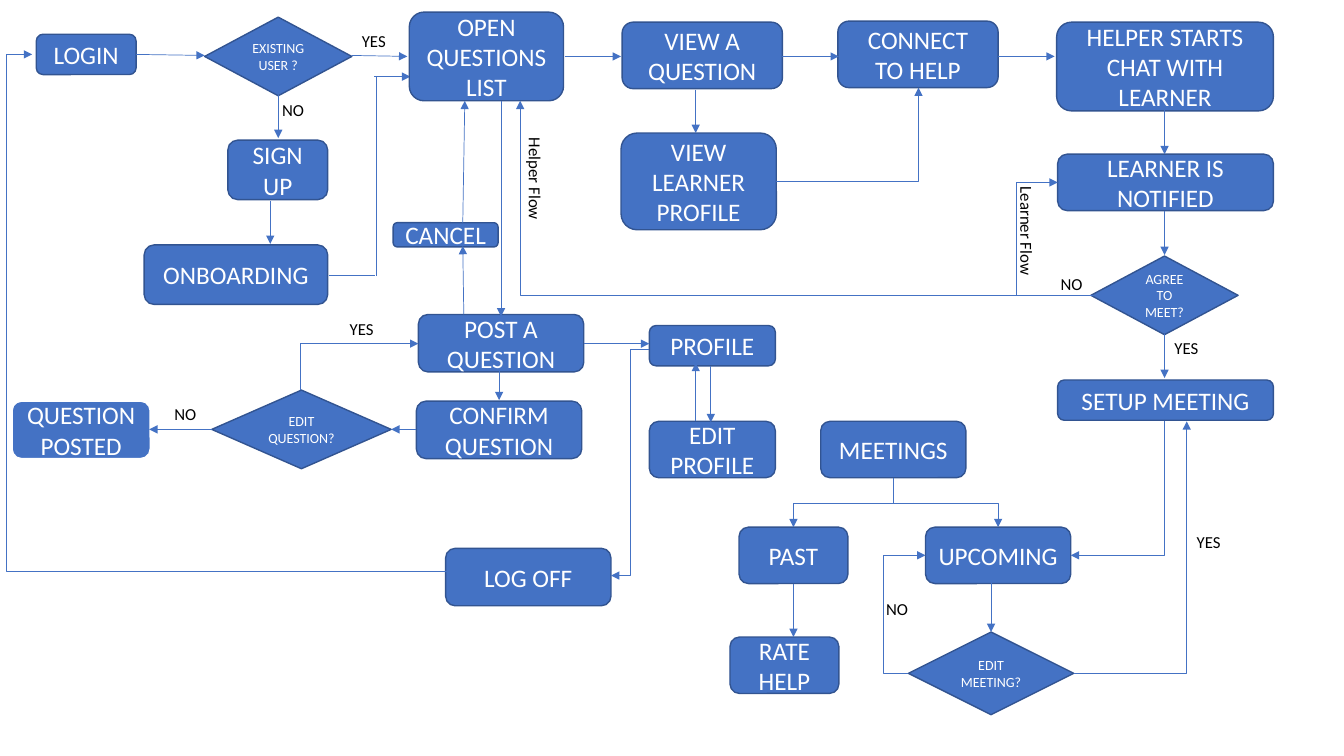
"""Build a one-slide flow chart of a help and meeting app."""
import dataclasses

import lxml.etree
import pptx
import pptx.dml.color
import pptx.enum.dml
import pptx.enum.shapes
import pptx.enum.text
import pptx.oxml.ns
import pptx.util

Inches = pptx.util.Inches
Kind = pptx.enum.shapes.MSO_SHAPE
Wire = pptx.enum.shapes.MSO_CONNECTOR
qn = pptx.oxml.ns.qn


@dataclasses.dataclass(frozen=True)
class Theme:
    """Hold the colours, font and sizes of the chart."""
    blue: str = "4472C4"
    edge: str = "325491"
    white: str = "FFFFFF"
    black: str = "000000"
    font: str = "Calibri"
    step: int = 18
    choice: int = 10
    label: int = 12
    rim: float = 1
    wire: float = 0.5


THEME = Theme()


def tint(code):
    """Turn a hex code into a colour."""
    return pptx.dml.color.RGBColor.from_string(code)


def write(frame, words, size, color, align):
    """Set the words of a frame and format them."""
    frame.text = words
    para = frame.paragraphs[0]
    para.alignment = align
    font = para.runs[0].font
    font.name = THEME.font
    font.size = pptx.util.Pt(size)
    font.color.rgb = tint(color)


class Area:
    """Draw parts relative to the top left corner of a region."""

    def __init__(self, slide, left, top):
        """Keep the shapes of the slide and the corner."""
        self.shapes = slide.shapes
        self.left = left
        self.top = top

    def place(self, x, y):
        """Give the slide position of a point of the region."""
        return Inches(self.left + x), Inches(self.top + y)

    def node(self, words, x, y, wide, high, kind=Kind.ROUNDED_RECTANGLE,
             size=THEME.step, edge=THEME.edge):
        """Draw a filled shape with centred words."""
        shape = self.shapes.add_shape(
            kind, *self.place(x, y), Inches(wide), Inches(high))
        shape.shadow.inherit = False
        shape.fill.solid()
        shape.fill.fore_color.rgb = tint(THEME.blue)
        shape.line.color.rgb = tint(edge)
        shape.line.width = pptx.util.Pt(THEME.rim)
        frame = shape.text_frame
        frame.word_wrap = True
        frame.vertical_anchor = pptx.enum.text.MSO_ANCHOR.MIDDLE
        write(frame, words, size, THEME.white, pptx.enum.text.PP_ALIGN.CENTER)

    def choice(self, words, x, y, wide, high):
        """Draw a decision diamond."""
        self.node(words, x, y, wide, high, Kind.DIAMOND, THEME.choice)

    def label(self, words, x, y, wide=0.45, turn=0):
        """Write a small label beside a line."""
        box = self.shapes.add_textbox(
            *self.place(x, y), Inches(wide), Inches(0.3))
        box.rotation = turn
        frame = box.text_frame
        frame.word_wrap = False
        frame.auto_size = pptx.enum.text.MSO_AUTO_SIZE.SHAPE_TO_FIT_TEXT
        write(frame, words, THEME.label, THEME.black,
              pptx.enum.text.PP_ALIGN.LEFT)

    def link(self, *points, arrow=True):
        """Join points by a straight line, or by an elbow of one or two bends."""
        (x1, y1), (x2, y2) = points[0], points[-1]
        bends = len(points) - 2
        upright = bends > 0 and points[1][0] == x1
        start, end = points[0], points[-1]
        if upright:
            mid, half = (x1 + x2) / 2, (y2 - y1) / 2
            level, side = (y1 + y2) / 2, (x2 - x1) / 2
            start, end = (mid - half, level + side), (mid + half, level - side)
        line = self.shapes.add_connector(
            Wire.ELBOW if bends else Wire.STRAIGHT,
            *self.place(*start), *self.place(*end))
        line.line.color.rgb = tint(THEME.blue)
        line.line.width = pptx.util.Pt(THEME.wire)
        props = line._element.spPr
        shape = props.find(qn("a:prstGeom"))
        if upright:
            props.find(qn("a:xfrm")).set("rot", "5400000")
        if bends == 1:
            shape.set("prst", "bentConnector2")
        elif bends == 2:
            axis = 1 if upright else 0
            first, last = points[0][axis], points[-1][axis]
            ratio = (points[1][axis] - first) / (last - first)
            lxml.etree.SubElement(
                shape.find(qn("a:avLst")), qn("a:gd"),
                name="adj1", fmla=f"val {round(ratio * 100000)}")
        if arrow:
            lxml.etree.SubElement(
                props.find(qn("a:ln")), qn("a:tailEnd"), type="triangle")
        lxml.etree.SubElement(props, qn("a:effectLst"))


def join(slide, left, top):
    """Draw the login and sign-up steps."""
    area = Area(slide, left, top)
    area.node("LOGIN", 0.36, 0.34, 0.99, 0.4)
    area.choice("EXISTING USER ?", 2.03, 0.17, 1.46, 0.78)
    area.node("SIGN UP", 2.26, 1.39, 0.99, 0.59)
    area.node("ONBOARDING", 1.43, 2.43, 1.82, 0.59)
    area.link((1.35, 0.54), (2.03, 0.55))
    area.link((3.49, 0.55), (4.04, 0.56))
    area.link((2.76, 0.94), (2.76, 1.37))
    area.link((2.68, 1.99), (2.68, 2.42))
    area.link((3.26, 2.73), (3.72, 2.73), arrow=False)
    area.link((3.73, 2.74), (3.73, 0.75), arrow=False)
    area.link((3.71, 0.76), (4.07, 0.76))
    area.label("YES", 3.49, 0.26)
    area.label("NO", 2.7, 0.94)


def helper(slide, left, top):
    """Draw the steps from the question list to the meeting set-up."""
    area = Area(slide, left, top)
    area.node("OPEN QUESTIONS LIST", 0.06, 0.12, 1.53, 0.88)
    area.node("VIEW A QUESTION", 2.17, 0.22, 1.59, 0.66)
    area.node("CONNECT TO HELP", 4.31, 0.21, 1.59, 0.66)
    area.node("VIEW LEARNER PROFILE", 2.16, 1.32, 1.54, 0.96)
    area.node("HELPER STARTS CHAT WITH LEARNER", 6.48, 0.22, 2.15, 0.88)
    area.node("LEARNER IS NOTIFIED", 6.49, 1.53, 2.14, 0.56)
    area.choice("AGREE TO MEET?", 6.82, 2.54, 1.46, 0.78)
    area.node("SETUP MEETING", 6.49, 3.77, 2.14, 0.4)
    for x in (1.6, 3.76, 5.9):
        area.link((x, 0.56), (x + 0.56, 0.56))
    for y in (1.09, 2.09, 3.31):
        area.link((7.55, y), (7.55, y + 0.44))
    area.link((2.9, 0.89), (2.9, 1.32))
    area.link((3.7, 1.8), (5.11, 1.8), (5.11, 0.87))
    area.link((7.15, 2.93), (1.16, 2.93), (1.16, 1))
    area.link((6.08, 2.93), (6.08, 1.81), (6.49, 1.81))
    area.label("NO", 6.42, 2.67)
    area.label("YES", 7.55, 3.3)
    area.label("Helper Flow", 0.8, 1.63, 1.02, 90)
    area.label("Learner Flow", 5.64, 2.15, 1.09, 90)


def asking(slide, left, top):
    """Draw the steps for posting a question, the profile and log-off."""
    area = Area(slide, left, top)
    area.node("CANCEL", 3.9, 0.21, 1.04, 0.24)
    area.node("POST A QUESTION", 4.15, 1.12, 1.64, 0.57)
    area.node("CONFIRM QUESTION", 4.13, 1.98, 1.64, 0.57)
    area.choice("EDIT QUESTION?", 2.1, 1.87, 1.78, 0.78)
    area.node("QUESTION POSTED", 0.12, 1.98, 1.37, 0.57, edge=THEME.white)
    area.node("PROFILE", 6.44, 1.23, 1.25, 0.4)
    area.node("EDIT PROFILE", 6.44, 2.18, 1.25, 0.56)
    area.node("LOG OFF", 4.42, 3.44, 1.64, 0.57)
    area.link((4.97, -1), (4.97, 1.14))
    area.link((4.59, 0.21), (4.61, -1))
    area.link((4.6, 1.12), (4.59, 0.44))
    area.link((4.95, 1.68), (4.95, 1.97))
    area.link((4.13, 2.26), (3.88, 2.26))
    area.link((2.1, 2.26), (1.48, 2.26))
    area.link((2.98, 1.87), (2.98, 1.41), (4.15, 1.41))
    area.link((5.79, 1.41), (6.44, 1.41))
    area.link((7.05, 1.63), (7.05, 2.19))
    area.link((6.9, 2.18), (6.9, 1.6))
    area.link((6.44, 1.47), (6.25, 1.47), (6.25, 3.71), (6.06, 3.71))
    area.link((4.45, 3.67), (0.07, 3.67), (0.07, -1.46), (0.32, -1.46))
    area.label("YES", 3.37, 1.11)
    area.label("NO", 1.63, 1.96)


def meeting(slide, left, top):
    """Draw the past and upcoming meeting steps."""
    area = Area(slide, left, top)
    area.node("MEETINGS", 1.14, 0.18, 1.44, 0.56)
    area.node("PAST", 0.33, 1.23, 1.08, 0.56)
    area.node("UPCOMING", 2.18, 1.23, 1.44, 0.56)
    area.node("RATE HELP", 0.24, 2.32, 1.08, 0.56)
    area.choice("EDIT MEETING?", 2.01, 2.27, 1.64, 0.82)
    for x in (0.87, 2.9):
        area.link((1.86, 0.74), (1.86, 0.99), (x, 0.99), (x, 1.23))
    area.link((0.87, 1.79), (0.87, 2.32))
    area.link((2.83, 1.74), (2.83, 2.27))
    area.link((4.55, 0.18), (4.55, 1.51), (3.62, 1.51))
    area.link((3.65, 2.68), (4.77, 2.68), (4.77, 0.18))
    area.link((2.01, 2.68), (1.76, 2.68), (1.76, 1.51), (2.18, 1.51))
    area.label("YES", 4.77, 1.23)
    area.label("NO", 1.69, 1.89)


def main():
    """Make the slide and save the file."""
    deck = pptx.Presentation()
    deck.slide_width, deck.slide_height = Inches(13.33), Inches(7.5)
    slide = deck.slides.add_slide(deck.slide_layouts[6])
    join(slide, 0, 0)
    helper(slide, 4, 0)
    asking(slide, 0, 2)
    meeting(slide, 7, 4)
    deck.save("out.pptx")


if __name__ == "__main__":
    main()
